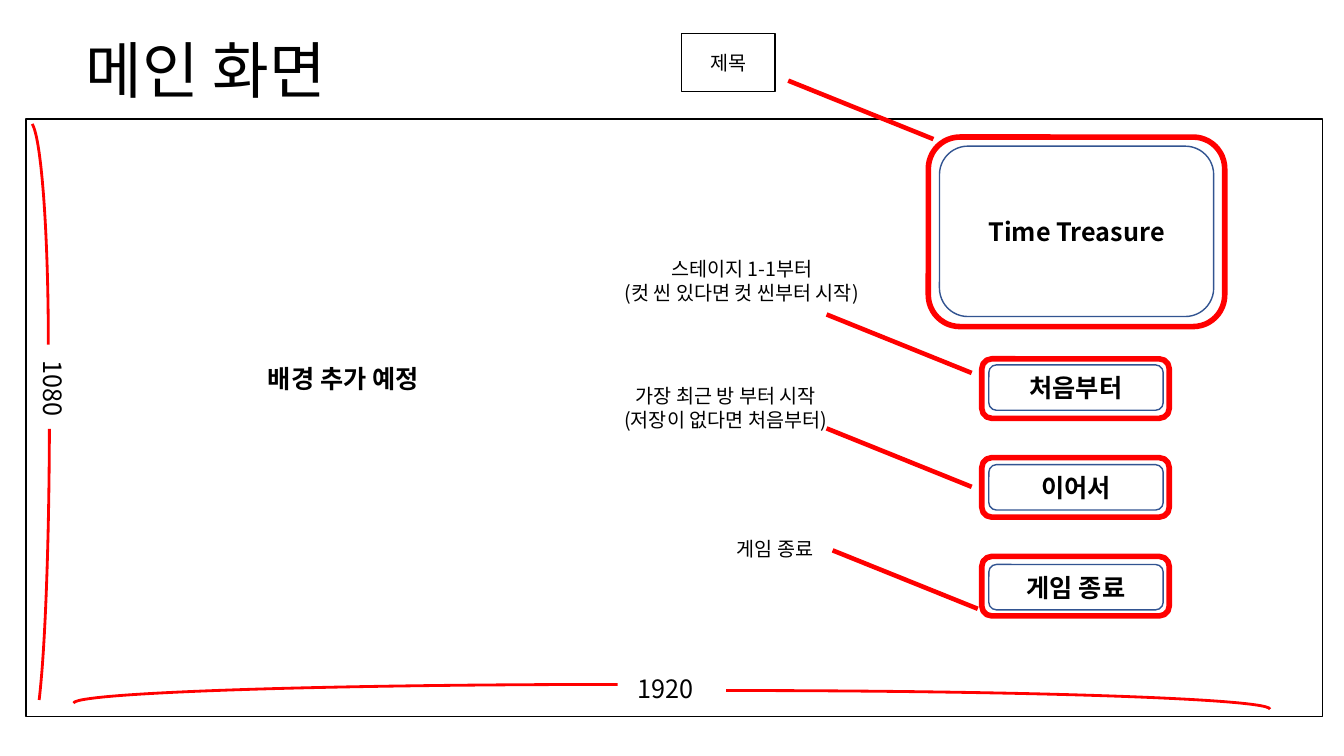
from lxml import etree
from pptx import Presentation
from pptx.dml.color import RGBColor
from pptx.enum.shapes import MSO_CONNECTOR, MSO_SHAPE
from pptx.enum.text import MSO_ANCHOR, PP_ALIGN
from pptx.oxml.ns import qn
from pptx.util import Inches, Pt

RECT, ROUND, ARC = MSO_SHAPE.RECTANGLE, MSO_SHAPE.ROUNDED_RECTANGLE, MSO_SHAPE.ARC
STRAIGHT = MSO_CONNECTOR.STRAIGHT
LEFT, CENTER = PP_ALIGN.LEFT, PP_ALIGN.CENTER
TOP, MIDDLE = MSO_ANCHOR.TOP, MSO_ANCHOR.MIDDLE

BLACK = RGBColor(0x00, 0x00, 0x00)
RED = RGBColor(0xFF, 0x00, 0x00)
BLUE = RGBColor(0x32, 0x54, 0x91)
FONT = "Noto Sans CJK KR"

# Square grid: ten cells to the inch
CELL = Inches(0.1)
COLUMNS, ROWS = 133.33, 75

deck = Presentation()
deck.slide_width, deck.slide_height = int(COLUMNS * CELL), ROWS * CELL
page = deck.slides.add_slide(deck.slide_layouts[6])


def add_outline(kind, place, color, weight):
    """Add an unfilled shape; place is left, top, width, height in cells."""
    shape = page.shapes.add_shape(kind, *[int(n * CELL) for n in place])
    shape.shadow.inherit = False
    shape.fill.background()
    shape.line.color.rgb = color
    shape.line.width = Pt(weight)
    return shape


def write(text, place=None, box=None, size=14, bold=False, align=CENTER, anchor=MIDDLE):
    """Write lines of text into a given box, or into a new text box at place."""
    if box is None:
        box = page.shapes.add_textbox(*[int(n * CELL) for n in place])
    frame = box.text_frame
    frame.word_wrap = True
    frame.vertical_anchor = anchor
    for number, line in enumerate(text.split("\n")):
        para = frame.add_paragraph() if number else frame.paragraphs[0]
        para.alignment = align
        span = para.add_run()
        span.text = line
        for name, value in {"name": FONT, "size": Pt(size), "bold": bold}.items():
            setattr(span.font, name, value)
        span.font.color.rgb = BLACK
        etree.SubElement(span.font._element, qn("a:ea"), typeface=FONT)
    return box


# Heading
heading = write("메인 화면", (7.5, 0, 107.5, 14.5), size=44, align=LEFT)
heading.text_frame.paragraphs[0].line_spacing = 0.9

# Game title and its red highlight
game_title = add_outline(ROUND, (93.2, 14.5, 27.2, 16.9), BLUE, 1)
write("Time Treasure", box=game_title, size=18, bold=True)
add_outline(ROUND, (92.1, 13.6, 29.4, 18.8), RED, 4)

# Menu buttons, evenly stacked, each with a red highlight
for row, label in enumerate(["처음부터", "이어서", "게임 종료"]):
    button = add_outline(ROUND, (98.1, 36.2 + 9.9 * row, 17.3, 4.5), BLUE, 1)
    write(label, box=button, size=18, bold=True)
    add_outline(ROUND, (97.4, 35.6 + 9.8 * row, 18.6, 5.9), RED, 4)

# Screen frame and background note
add_outline(RECT, (2.6, 11.8, 128.6, 59.3), BLACK, 1)
write("배경 추가 예정", (25.5, 35.6, 17.1, 4), size=18, bold=True, anchor=TOP)

# Explanations of the parts
write("제목", box=add_outline(RECT, (67.6, 3.3, 9.3, 5.8), BLACK, 1))
for left, top, note in [
    (59.6, 22.6, "스테이지 1-1부터\n(컷 씬 있다면 컷 씬부터 시작)"),
    (58, 35.2, "가장 최근 방 부터 시작\n(저장이 없다면 처음부터)"),
    (62.9, 49.2, "게임 종료"),
]:
    write(note, (left, top, 28, 10.5))

# Parallel leader lines, given by their right ends
for x, y in [(92.6, 13.8), (96.4, 37), (96.4, 48.3), (97, 60.4)]:
    ends = (x, y, x - 14.4, y - 5.8)
    leader = page.shapes.add_connector(STRAIGHT, *[int(n * CELL) for n in ends])
    leader.line.color.rgb = RED
    leader.line.width = Pt(3.25)
    etree.SubElement(leader._element.spPr, qn("a:effectLst"))

# Screen size labels
height_label = write("1080", (2.3, 34.8, 5, 7.3), size=18, align=LEFT, anchor=TOP)
height_label.text_frame.word_wrap = False
height_label.text_frame._txBody.bodyPr.set("vert", "eaVert")
write("1920", (62.3, 66.3, 10.2, 4), size=18, align=LEFT, anchor=TOP)

# Dimension arcs: place, rotation, mirrored, start and end angle
for place, turn, mirrored, start, end in [
    ((1.1, 12.1, 3.7, 44.2), 0, False, 162.39, 0),
    ((1.4, 9.1, 3.5, 63.2), 180, True, 162.87, 188.08),
    ((59.2, 16, 3.7, 107.5), 270, False, 162, 3.97),
    ((70.4, 16.6, 3.7, 107.5), 90, True, 162, 3.97),
]:
    arc = add_outline(ARC, place, RED, 2)
    arc.rotation = turn
    arc.adjustments[0], arc.adjustments[1] = start, end
    if mirrored:
        arc._element.spPr.find(qn("a:xfrm")).set("flipH", "1")

deck.save("out.pptx")
